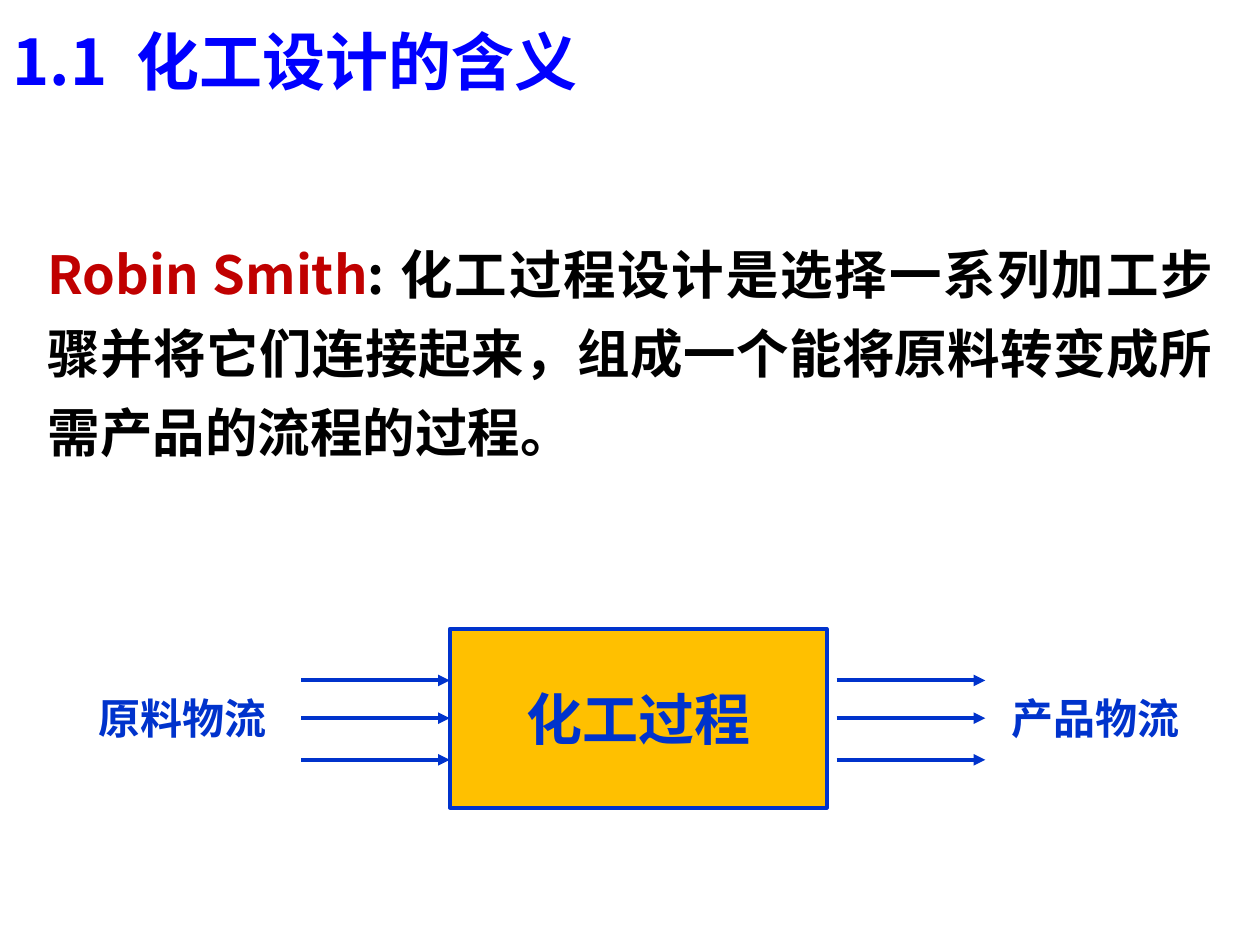
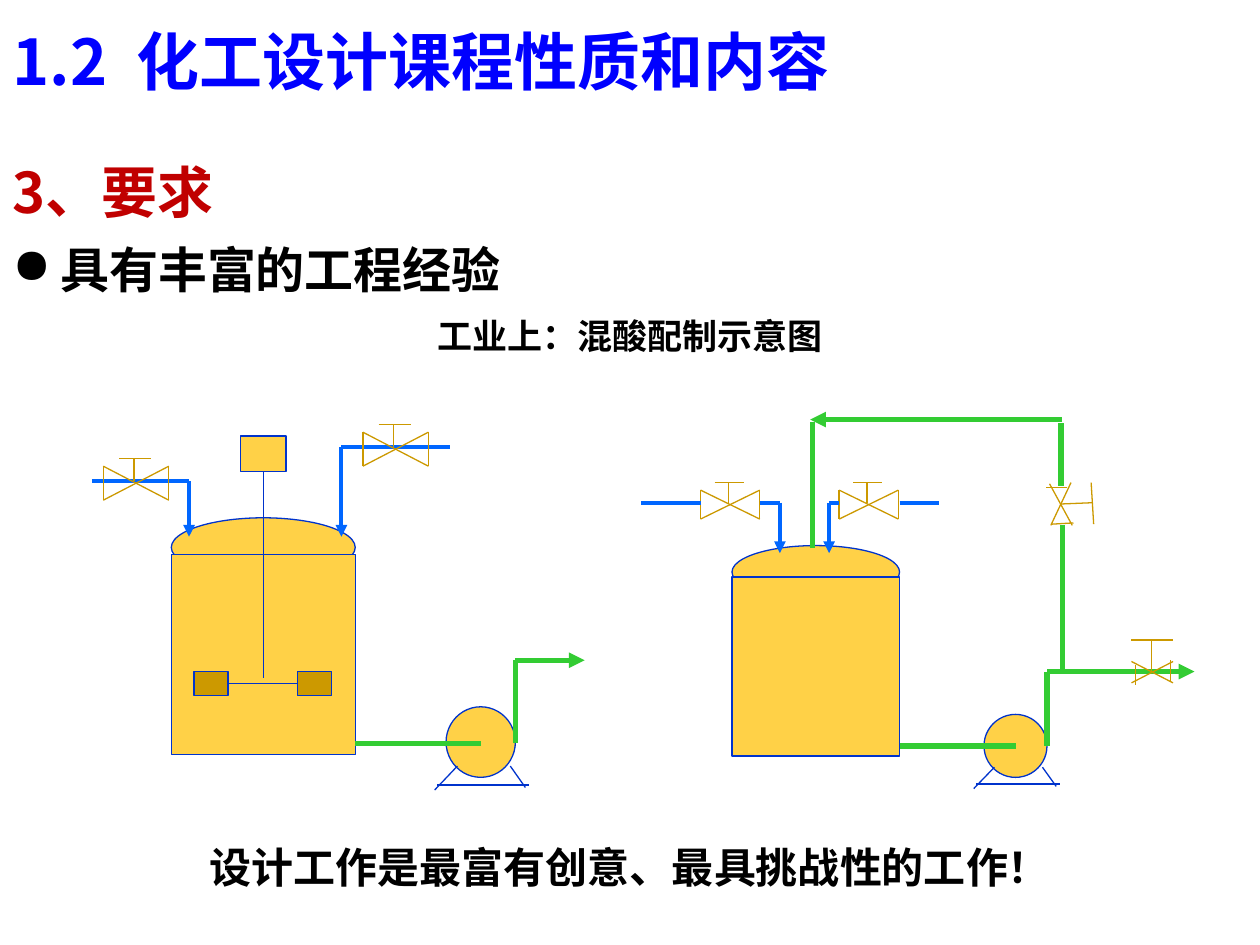
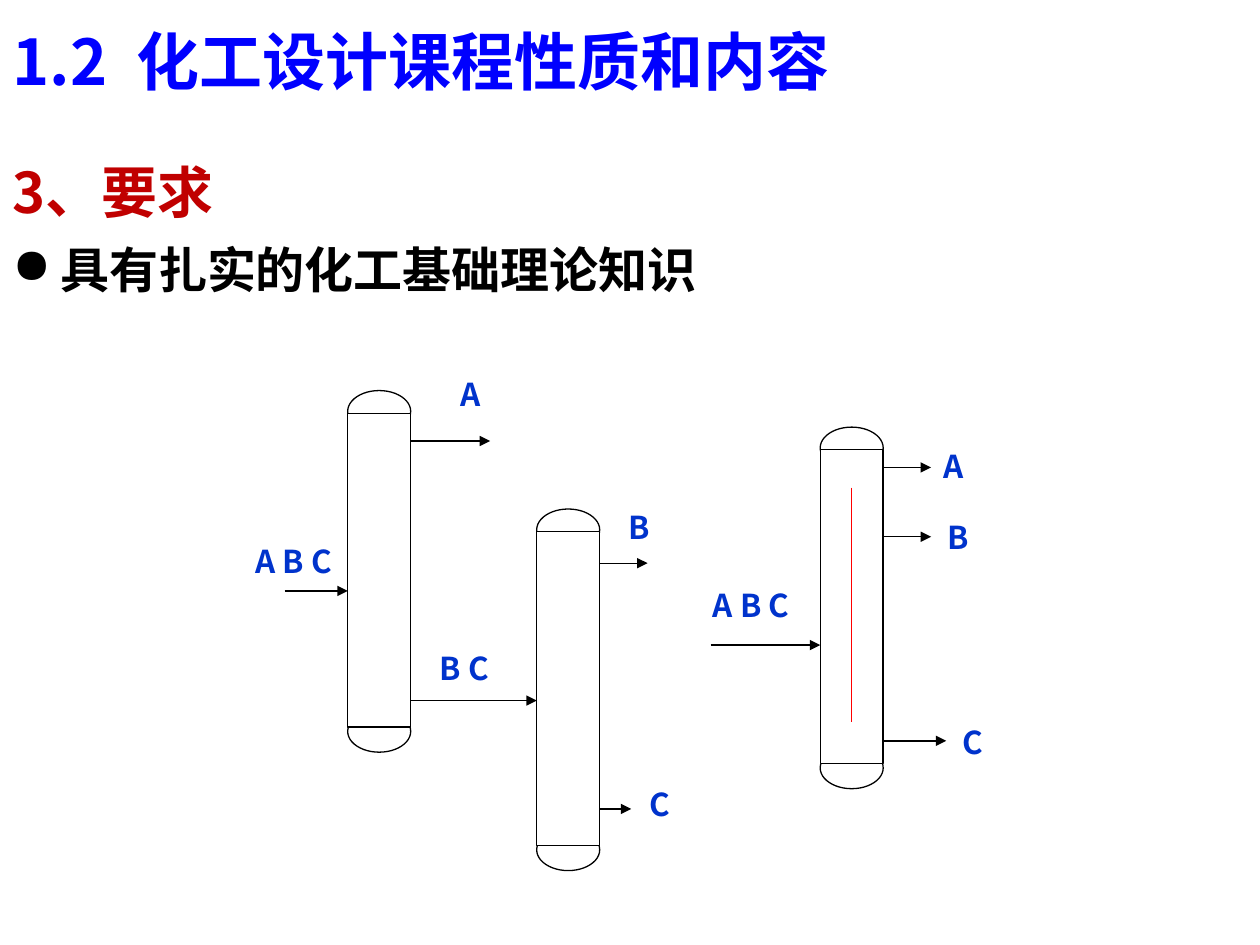
from dataclasses import dataclass
from typing import NamedTuple, Optional

from lxml import etree
from pptx import Presentation
from pptx import util as u
from pptx.dml.color import RGBColor
from pptx.enum import shapes, text
from pptx.oxml.ns import qn

ALIGN = text.PP_ALIGN
KIND = shapes.MSO_SHAPE


# Theme
@dataclass(frozen=True)
class Theme:
    font: str = "Noto Sans CJK SC"
    title: RGBColor = RGBColor(0x00, 0x00, 0xFF)
    heading: RGBColor = RGBColor(0xC0, 0x00, 0x00)
    ink: RGBColor = RGBColor(0x00, 0x00, 0x00)
    blue: RGBColor = RGBColor(0x00, 0x33, 0xCC)
    feed: RGBColor = RGBColor(0x00, 0x66, 0xFF)
    product: RGBColor = RGBColor(0x33, 0xCC, 0x33)
    valve: RGBColor = RGBColor(0xCC, 0x99, 0x00)
    vessel: RGBColor = RGBColor(0xFF, 0xD1, 0x47)
    process: RGBColor = RGBColor(0xFF, 0xC0, 0x00)
    white: RGBColor = RGBColor(0xFF, 0xFF, 0xFF)
    red: RGBColor = RGBColor(0xFF, 0x00, 0x00)
    title_size: int = 36
    heading_size: int = 32
    body_size: int = 30
    bullet_size: int = 28
    label_size: int = 24
    caption_size: int = 20
    stream_size: int = 18
    thin: float = 0.75
    medium: float = 2.25
    thick: float = 3
    body_spacing: float = 1.25


THEME = Theme()


class Area(NamedTuple):
    left: float
    top: float
    width: float
    height: float


class Point(NamedTuple):
    x: float
    y: float


class Span(NamedTuple):
    words: str
    size: int
    color: RGBColor


class Pen(NamedTuple):
    color: RGBColor
    width: float


class Segment(NamedTuple):
    x1: float
    y1: float
    x2: float
    y2: float
    arrow: bool = False


@dataclass(frozen=True)
class Tank:
    dome: Area
    body: Area


@dataclass(frozen=True)
class Label:
    words: str
    left: float
    top: float
    width: float = 0.5


OUTLINE = Pen(THEME.blue, THEME.thin)
BLACK_LINE = Pen(THEME.ink, THEME.thin)
VALVE_LINE = Pen(THEME.valve, THEME.thin)
FLOW_LINE = Pen(THEME.blue, THEME.medium)
FEED_PIPE = Pen(THEME.feed, THEME.medium)
PRODUCT_PIPE = Pen(THEME.product, THEME.thick)


# Text
def style_span(run, span: Span) -> None:
    run.font.size = u.Pt(span.size)
    run.font.bold = True
    run.font.color.rgb = span.color
    run.font.name = THEME.font
    etree.SubElement(run.font._element, qn("a:ea"), typeface=THEME.font)


def fill_paragraph(para, spans: list[Span], align=ALIGN.LEFT) -> None:
    para.text = spans[0].words
    for span in spans[1:]:
        para.add_run().text = span.words
    for run, span in zip(para.runs, spans):
        style_span(run, span)
    para.alignment = align


def place(box, area: Area) -> None:
    box.left, box.top, box.width, box.height = (u.Inches(side) for side in area)


def add_text(page, area: Area, spans: list[Span], align=ALIGN.LEFT):
    box = page.shapes.add_textbox(*(u.Inches(side) for side in area))
    box.text_frame.word_wrap = True
    fill_paragraph(box.text_frame.paragraphs[0], spans, align)
    return box


def add_page(deck, number: str, heading: str):
    page = deck.slides.add_slide(deck.slide_layouts[5])
    title = page.shapes.title
    place(title, Area(0, 0.13, 10, 0.77))
    frame = title.text_frame
    frame.auto_size = text.MSO_AUTO_SIZE.NONE
    frame.vertical_anchor = text.MSO_ANCHOR.TOP
    para = frame.paragraphs[0]
    # A tab stop sets the gap after the section number
    tabs = etree.SubElement(para._p.get_or_add_pPr(), qn("a:tabLst"))
    etree.SubElement(tabs, qn("a:tab"), pos=str(u.Inches(0.98)), algn="l")
    fill_paragraph(para, [Span(f"{number}\t{heading}", THEME.title_size, THEME.title)])
    return page


def add_requirement(page, requirement: str) -> None:
    heading = Span("3、要求", THEME.heading_size, THEME.heading)
    box = add_text(page, Area(0, 1.07, 9.88, 1.4), [heading], ALIGN.JUSTIFY)
    bullet = box.text_frame.add_paragraph()
    etree.SubElement(bullet._p.get_or_add_pPr(), qn("a:buChar"), char="●")
    fill_paragraph(bullet, [Span(requirement, THEME.bullet_size, THEME.ink)], ALIGN.JUSTIFY)
    for para, indent in zip(box.text_frame.paragraphs, (0.62, 0.38)):
        para.line_spacing = THEME.body_spacing
        properties = para._p.get_or_add_pPr()
        properties.set("marL", str(u.Inches(indent)))
        properties.set("indent", str(-u.Inches(indent)))


# Shapes and lines
def add_block(page, kind, area: Area, fill: RGBColor, pen: Pen = OUTLINE):
    block = page.shapes.add_shape(kind, *(u.Inches(side) for side in area))
    block.shadow.inherit = False
    block.fill.solid()
    block.fill.fore_color.rgb = fill
    block.line.color.rgb = pen.color
    block.line.width = u.Pt(pen.width)
    return block


def add_line(page, segment: Segment, pen: Pen):
    line = page.shapes.add_connector(
        shapes.MSO_CONNECTOR.STRAIGHT, *(u.Inches(end) for end in segment[:4]))
    line.line.color.rgb = pen.color
    line.line.width = u.Pt(pen.width)
    properties = line._element.spPr
    if segment.arrow:
        etree.SubElement(properties.find(qn("a:ln")), qn("a:tailEnd"), type="triangle")
    etree.SubElement(properties, qn("a:effectLst"))
    return line


def add_lines(page, segments: list[Segment], pen: Pen) -> None:
    for segment in segments:
        add_line(page, segment, pen)


# Equipment
def add_tank(page, tank: Tank) -> None:
    add_block(page, KIND.OVAL, tank.dome, THEME.vessel)
    add_block(page, KIND.RECTANGLE, tank.body, THEME.vessel)


def add_pump(page, area: Area) -> None:
    add_block(page, KIND.OVAL, area, THEME.vessel)
    across, down = area.width / 0.55, area.height / 0.56
    feet = [(0.09, 0.47, -0.09, 0.66), (0.51, 0.47, 0.63, 0.64), (-0.07, 0.62, 0.66, 0.62)]
    for x1, y1, x2, y2 in feet:
        add_line(page, Segment(area.left + x1 * across, area.top + y1 * down,
                               area.left + x2 * across, area.top + y2 * down), OUTLINE)


def add_valve(page, area: Area) -> None:
    left, top, width, height = area
    right, bottom = left + width, top + height
    bar, stem = top - 0.06, left + 0.47 * width
    add_lines(page, [
        Segment(left, top, left, bottom),
        Segment(right, top, right, bottom),
        Segment(left, top, right, bottom),
        Segment(right, top, left, bottom),
        Segment(left + 0.24 * width, bar, left + 0.73 * width, bar),
        Segment(stem, bar, stem, top + 0.45 * height),
    ], VALVE_LINE)


def add_column(page, corner: Point) -> None:
    left, top = corner
    for cap_top in (top, top + 2.54):
        add_block(page, KIND.OVAL, Area(left, cap_top, 0.5, 0.33), THEME.white, BLACK_LINE)
    add_block(page, KIND.RECTANGLE, Area(left, top + 0.18, 0.5, 2.49), THEME.white, BLACK_LINE)


# Slide 1: meaning of chemical process design
def build_meaning(deck) -> None:
    page = add_page(deck, "1.1", "化工设计的含义")
    definition = add_text(page, Area(0.28, 1.75, 9.45, 2.08), [
        Span("Robin Smith", THEME.body_size, THEME.heading),
        Span(": 化工过程设计是选择一系列加工步骤并将它们连接起来，"
             "组成一个能将原料转变成所需产品的流程的过程。", THEME.body_size, THEME.ink),
    ], ALIGN.JUSTIFY)
    definition.text_frame.paragraphs[0].line_spacing = THEME.body_spacing

    process = add_block(page, KIND.RECTANGLE, Area(3.57, 4.99, 2.99, 1.42),
                        THEME.process, FLOW_LINE)
    frame = process.text_frame
    frame.word_wrap = False
    frame.vertical_anchor = text.MSO_ANCHOR.MIDDLE
    fill_paragraph(frame.paragraphs[0],
                   [Span("化工过程", THEME.heading_size, THEME.blue)], ALIGN.CENTER)

    middle = 5.7
    for y in (5.4, middle, 6.03):
        inflow = add_line(page, Segment(2.39, y, 3.57, y, True), FLOW_LINE)
        add_line(page, Segment(6.64, y, 7.82, y, True), FLOW_LINE)
        if y == middle:
            inflow.end_connect(process, 1)

    for words, left in (("原料物流", 0.68), ("产品物流", 7.93)):
        add_text(page, Area(left, 5.45, 1.75, 0.5), [Span(words, THEME.label_size, THEME.blue)])


# Slide 2: mixed acid preparation
def build_stirred_tank(page) -> None:
    add_tank(page, Tank(Area(1.36, 4.11, 1.46, 0.47), Area(1.36, 4.4, 1.46, 1.59)))
    motor = add_block(page, KIND.RECTANGLE, Area(1.91, 3.46, 0.36, 0.28), THEME.vessel)
    left_blade, right_blade = (
        add_block(page, KIND.RECTANGLE, Area(left, 5.33, 0.27, 0.19), THEME.valve)
        for left in (1.54, 2.36))
    shaft = add_line(page, Segment(2.09, 3.74, 2.09, 5.38), OUTLINE)
    shaft.begin_connect(motor, 2)
    blade_rod = add_line(page, Segment(1.81, 5.43, 2.36, 5.43), OUTLINE)
    blade_rod.begin_connect(left_blade, 3)
    blade_rod.end_connect(right_blade, 1)

    add_pump(page, Area(3.54, 5.61, 0.55, 0.56))
    add_lines(page, [
        Segment(2.82, 5.9, 3.82, 5.9),
        Segment(4.09, 5.9, 4.09, 5.24),
        Segment(4.09, 5.24, 4.64, 5.24, True),
    ], PRODUCT_PIPE)
    add_lines(page, [
        Segment(0.73, 3.82, 1.5, 3.82),
        Segment(1.5, 3.82, 1.5, 4.26, True),
        Segment(2.71, 3.55, 3.57, 3.55),
        Segment(2.71, 3.55, 2.71, 4.26, True),
    ], FEED_PIPE)
    for left, top in ((0.82, 3.7), (2.88, 3.43)):
        add_valve(page, Area(left, top, 0.52, 0.27))


def build_circulating_tank(page) -> None:
    add_tank(page, Tank(Area(5.81, 4.33, 1.33, 0.42), Area(5.81, 4.58, 1.33, 1.42)))
    add_pump(page, Area(7.81, 5.67, 0.5, 0.5))
    add_lines(page, [
        Segment(7.14, 5.92, 8.06, 5.92),
        Segment(8.31, 5.92, 8.31, 5.33),
        Segment(8.31, 5.33, 9.48, 5.33, True),
        Segment(8.43, 4.17, 8.43, 5.33),
        Segment(6.45, 4.35, 6.45, 3.35),
        Segment(8.42, 3.36, 8.42, 3.86),
        Segment(8.43, 3.33, 6.43, 3.33, True),
    ], PRODUCT_PIPE)
    # Outlet valve, then the tilted return valve
    add_lines(page, [
        Segment(9.01, 5.28, 9.01, 5.44),
        Segment(9.29, 5.24, 9.29, 5.41),
        Segment(9.31, 5.25, 8.98, 5.42),
        Segment(8.98, 5.25, 9.31, 5.42),
        Segment(9.14, 5.08, 9.14, 5.33),
        Segment(8.98, 5.08, 9.31, 5.08),
        Segment(8.47, 3.87, 8.3, 3.87),
        Segment(8.52, 4.15, 8.35, 4.16),
        Segment(8.51, 4.17, 8.33, 3.84),
        Segment(8.5, 3.83, 8.34, 4.17),
        Segment(8.67, 3.99, 8.42, 4),
        Segment(8.66, 3.83, 8.68, 4.16),
    ], VALVE_LINE)
    for left in (5.56, 6.66):
        add_valve(page, Area(left, 3.89, 0.47, 0.23))
    add_lines(page, [
        Segment(5.09, 3.99, 5.56, 3.99),
        Segment(6.03, 3.99, 6.19, 3.99),
        Segment(7.14, 3.99, 7.45, 3.99),
        Segment(6.66, 3.99, 6.58, 3.99),
        Segment(6.58, 3.99, 6.58, 4.39, True),
        Segment(6.19, 3.99, 6.19, 4.39, True),
    ], FEED_PIPE)


def build_experience(deck) -> None:
    page = add_page(deck, "1.2", "化工设计课程性质和内容")
    add_requirement(page, "具有丰富的工程经验")
    add_text(page, Area(0, 2.45, 10, 0.44),
             [Span("工业上：混酸配制示意图", THEME.caption_size, THEME.ink)], ALIGN.CENTER)
    build_stirred_tank(page)
    build_circulating_tank(page)
    add_text(page, Area(0, 6.63, 10, 0.5),
             [Span("设计工作是最富有创意、最具挑战性的工作！", THEME.label_size, THEME.ink)],
             ALIGN.CENTER)


# Slide 3: two columns compared with one divided column
def build_theory(deck) -> None:
    page = add_page(deck, "1.2", "化工设计课程性质和内容")
    add_requirement(page, "具有扎实的化工基础理论知识")
    for corner in (Point(2.76, 3.1), Point(4.26, 4.04), Point(6.51, 3.39)):
        add_column(page, corner)

    streams = [
        (2.26, 2.76, 4.69), (3.26, 3.89, 3.5), (3.26, 4.26, 5.56),
        (4.76, 5.14, 4.47), (4.76, 5.01, 6.42),
        (5.64, 6.51, 5.12), (7.01, 7.39, 3.71), (7.01, 7.39, 4.26), (7.01, 7.51, 5.88),
    ]
    add_lines(page, [Segment(start, y, end, y, True) for start, end, y in streams], BLACK_LINE)
    add_line(page, Segment(6.76, 3.87, 6.76, 5.73), Pen(THEME.red, THEME.thin))

    labels = [
        Label("A B C", 1.93, 4.25, 1.13), Label("A", 3.56, 2.93), Label("B C", 3.39, 5.1, 0.83),
        Label("B", 4.89, 3.98), Label("C", 5.06, 6.18),
        Label("A B C", 5.56, 4.6, 1.08), Label("A", 7.39, 3.5), Label("B", 7.42, 4.06),
        Label("C", 7.54, 5.69),
    ]
    for label in labels:
        add_text(page, Area(label.left, label.top, label.width, 0.4),
                 [Span(label.words, THEME.stream_size, THEME.blue)])


def main() -> None:
    deck = Presentation()
    deck.slide_width, deck.slide_height = u.Inches(10), u.Inches(7.5)
    build_meaning(deck)
    build_experience(deck)
    build_theory(deck)
    deck.save("out.pptx")


if __name__ == "__main__":
    main()
